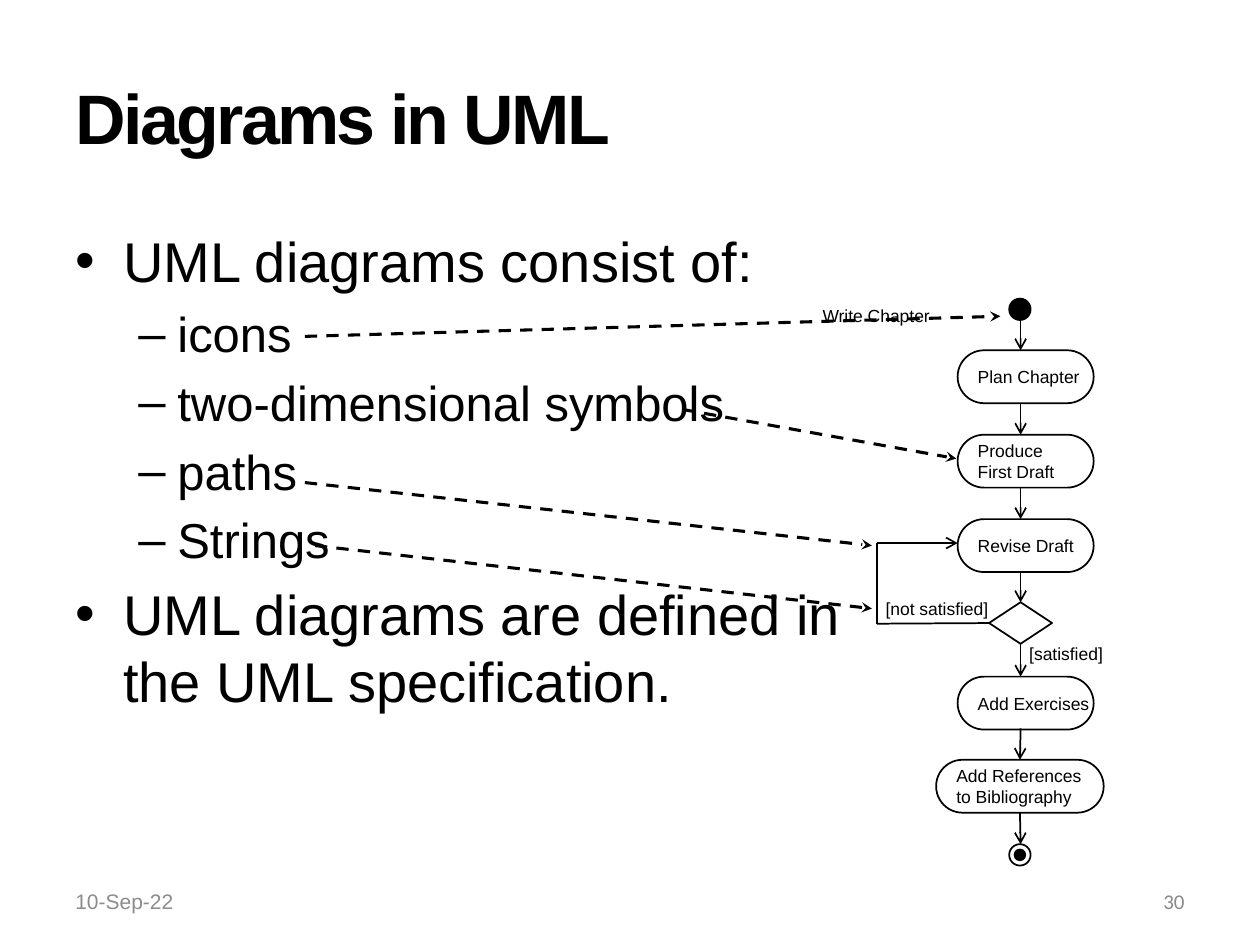
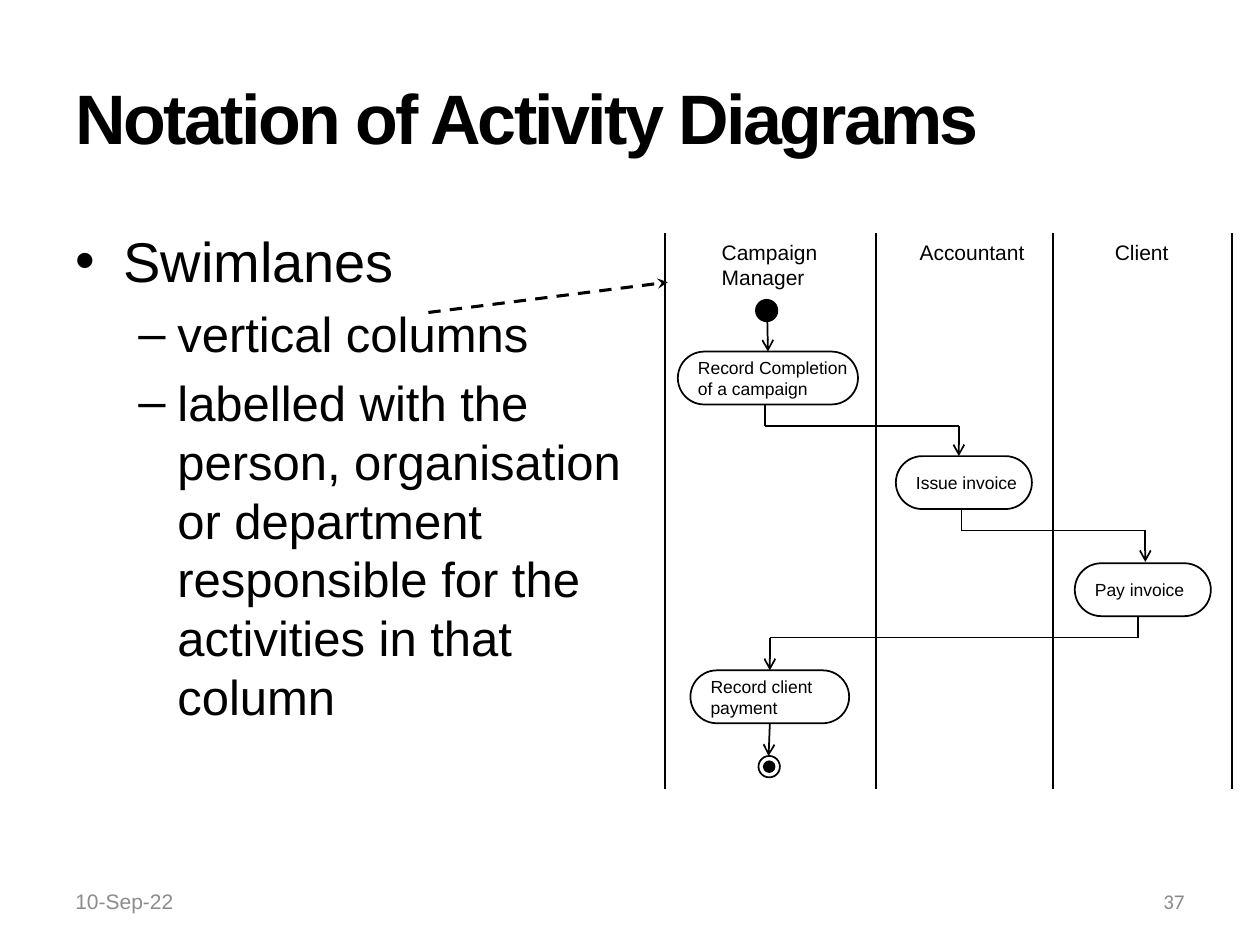
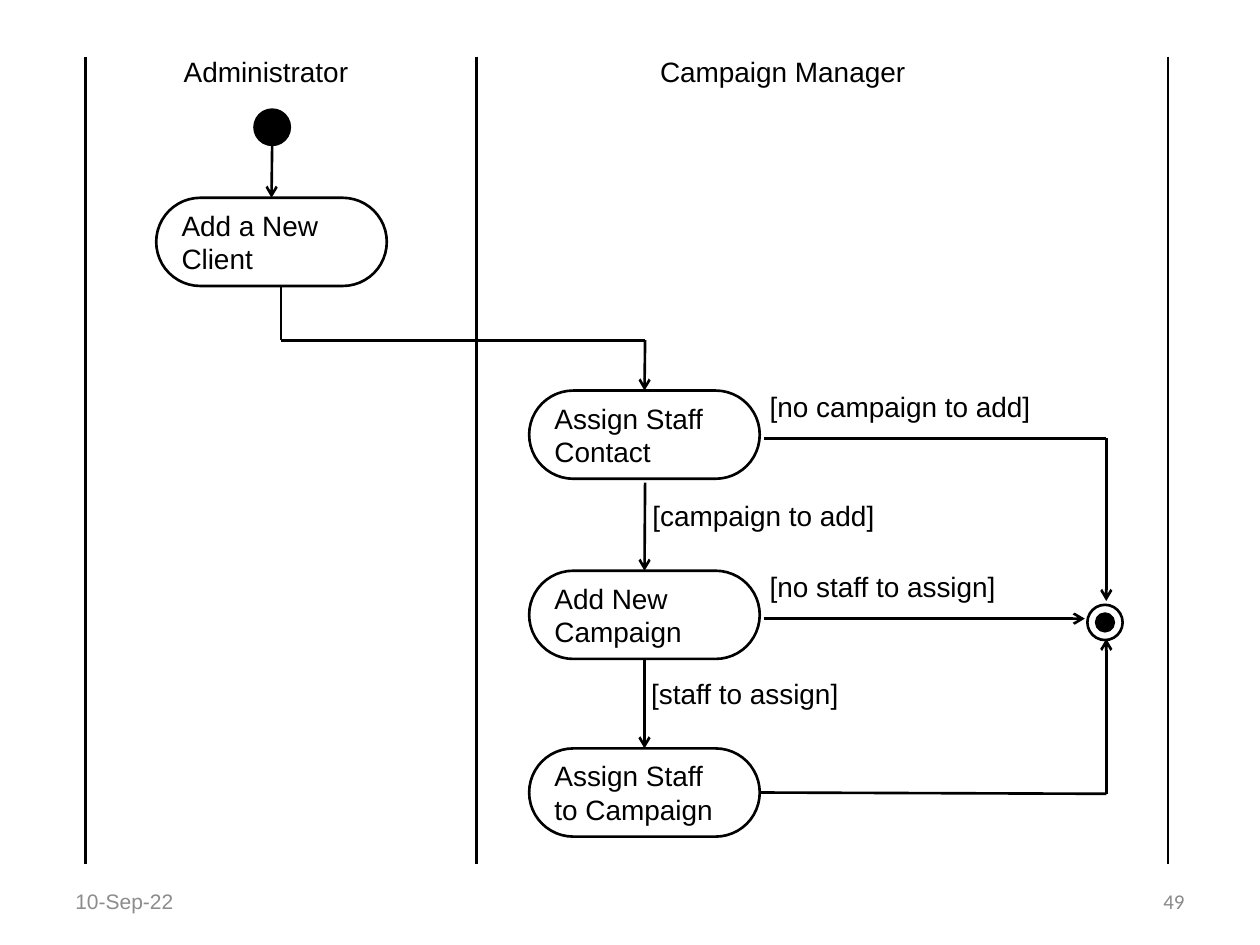
from lxml.etree import SubElement
from pptx import Presentation
from pptx.dml.color import RGBColor
from pptx.enum.dml import MSO_LINE
from pptx.enum.shapes import MSO_CONNECTOR, MSO_SHAPE
from pptx.enum.text import MSO_ANCHOR, PP_ALIGN
from pptx.oxml.ns import qn
from pptx.util import Inches, Pt

BLACK = RGBColor(0x00, 0x00, 0x00)
WHITE = RGBColor(0xFF, 0xFF, 0xFF)
DATE_GREY = RGBColor(0x8C, 0x8C, 0x8C)
NUMBER_GREY = RGBColor(0x89, 0x89, 0x89)
FONT = "Arial"
TITLE_ONLY, BLANK = 5, 6
JOIN_TOLERANCE = Inches(0.015)
DATE = "10-Sep-22"

# Bullet level: mark, text size, left margin, first-line indent
LEVELS = [("•", 32, 0.38, -0.38), ("–", 28, 0.81, -0.31)]

# Nodes and labels: text, left, top, width. Markers: left, top.
# Arrows and lines: corner points; a lane is the x of a vertical rule.
SLIDES = [
    {
        "number": "30",
        "title": "Diagrams in UML",
        "bullets": [
            (0, "UML diagrams consist of:"),
            (1, "icons"),
            (1, "two-dimensional symbols"),
            (1, "paths"),
            (1, "Strings"),
            (0, "UML diagrams are defined in\vthe UML specification."),
        ],
        "text_size": 10, "line_width": 1, "node_height": 0.42, "marker_size": 0.17,
        "nodes": [
            ("Plan Chapter", 7.6, 2.78, 1.08),
            ("Produce\vFirst Draft", 7.6, 3.45, 1.08),
            ("Revise Draft", 7.6, 4.12, 1.08),
            ("Add Exercises", 7.6, 5.37, 1.08),
            ("Add References\nto Bibliography", 7.43, 6.03, 1.33),
        ],
        "decisions": [(7.85, 4.78, 0.5, 0.33)],
        "start": (8.01, 2.37),
        "finish": (8.01, 6.7),
        "labels": [
            ("[satisfied]", 8.07, 5.05, 0.95),
            ("[not satisfied]", 6.93, 4.7, 1.14),
            ("Write Chapter", 6.43, 2.37, 1.1),
        ],
        "arrows": [[(8.1, top), (8.1, bottom)] for top, bottom in (
            (2.53, 2.78), (3.2, 3.45), (3.87, 4.12), (4.53, 4.78),
            (5.12, 5.37), (5.78, 6.03), (6.45, 6.7))]
        + [[(7.85, 4.95), (6.96, 4.95), (6.96, 4.31), (7.6, 4.31)]],
        "pointers": [
            [(2.42, 2.67), (7.94, 2.51)],
            [(5.42, 3.25), (7.59, 3.64)],
            [(2.42, 3.83), (6.92, 4.33)],
            [(2.5, 4.33), (6.92, 4.83)],
        ],
    },
    {
        "number": "37",
        "title": "Notation of Activity Diagrams",
        "bullets": [
            (0, "Swimlanes"),
            (1, "vertical columns"),
            (1, "labelled with the\vperson, organisation\vor department\v"
                "responsible for the\vactivities in that\vcolumn"),
        ],
        "text_size": 10, "line_width": 1, "node_height": 0.42, "marker_size": 0.17,
        "nodes": [
            ("Record Completion\nof a campaign", 5.38, 2.79, 1.43),
            ("Issue invoice", 7.11, 3.62, 1.08),
            ("Pay invoice", 8.53, 4.47, 1.08),
            ("Record client\npayment", 5.48, 5.32, 1.26),
        ],
        "start": (6, 2.38),
        "finish": (6.02, 6),
        "lanes": ((5.28, 6.95, 8.36, 9.78), 1.85, 6.26),
        "heading_size": 12,
        "headings": [
            ("Campaign\vManager", 5.63, 1.85, 1),
            ("Accountant", 7.2, 1.85, 1.07),
            ("Client", 8.75, 1.85, 0.66),
        ],
        "arrows": [
            [(6.09, 2.54), (6.09, 2.79)],
            [(6.07, 3.21), (6.07, 3.38), (7.61, 3.38), (7.61, 3.62)],
            [(7.63, 4.04), (7.63, 4.21), (9.09, 4.21), (9.09, 4.46)],
            [(9.03, 4.89), (9.03, 5.06), (6.11, 5.06), (6.11, 5.31)],
            [(6.1, 5.75), (6.1, 6)],
        ],
        "pointers": [[(3.4, 2.48), (5.3, 2.24)]],
    },
    {
        "number": "49",
        "text_size": 16, "line_width": 1.5, "node_height": 0.7, "marker_size": 0.28,
        "nodes": [
            ("Add a New\vClient", 1.24, 1.57, 1.83),
            ("Assign Staff\vContact", 4.2, 3.1, 1.83),
            ("Add New\nCampaign", 4.2, 4.53, 1.83),
            ("Assign Staff\nto Campaign", 4.2, 5.94, 1.83),
        ],
        "start": (2.02, 0.87),
        "finish": (8.63, 4.8),
        "lanes": ((0.68, 3.78, 9.27), 0.45, 6.86),
        "heading_size": 16,
        "headings": [
            ("Administrator", 1.36, 0.38, 2.14),
            ("Campaign Manager", 5.14, 0.38, 2.56),
        ],
        "labels": [
            ("[no campaign to add]", 6.01, 3.04, 2.56),
            ("[campaign to add]", 5.08, 3.91, 2.26),
            ("[no staff to assign]", 6.01, 4.47, 2.56),
            ("[staff to assign]", 5.07, 5.32, 2.23),
        ],
        "arrows": [
            [(2.16, 1.15), (2.16, 1.57)],
            [(2.23, 2.28), (2.23, 2.7), (5.12, 2.7), (5.12, 3.1)],
            [(5.12, 3.83), (5.12, 4.53)],
            [(5.12, 5.24), (5.12, 5.94)],
            [(6.06, 3.48), (8.78, 3.48), (8.78, 4.77)],
            [(6.06, 4.91), (8.61, 4.91)],
            [(6.03, 6.3), (8.78, 6.3), (8.78, 5.07)],
        ],
    },
]


def set_font(paragraph, size, color=BLACK, name=FONT):
    font = paragraph.font
    font.name, font.size, font.color.rgb = name, Pt(size), color


def write(frame, text, size, color=BLACK, name=FONT, align=PP_ALIGN.LEFT):
    frame.text = text
    for paragraph in frame.paragraphs:
        paragraph.alignment = align
        set_font(paragraph, size, color, name)


def add_text(page, text, left, top, width, height, size, **style):
    box = page.shapes.add_textbox(*map(Inches, (left, top, width, height)))
    box.text_frame.word_wrap = True
    write(box.text_frame, text, size, **style)
    return box


def add_labels(page, labels, size):
    for text, left, top, width in labels:
        line_count = text.count("\v") + 1
        add_text(page, text, left, top, width, line_count * size / 60 + 0.1, size)


def add_footer(page, number):
    date = add_text(page, DATE, 0.5, 6.95, 2.33, 0.4, 12, color=DATE_GREY)
    page_number = add_text(page, number, 7.17, 6.95, 2.33, 0.4, 12, color=NUMBER_GREY,
                           name="Calibri", align=PP_ALIGN.RIGHT)
    for box in (date, page_number):
        box.text_frame.vertical_anchor = MSO_ANCHOR.MIDDLE


def format_title(title, text):
    title.left, title.top, title.width, title.height = map(Inches, (0.5, 0.3, 9, 1.25))
    frame = title.text_frame
    frame.vertical_anchor = MSO_ANCHOR.MIDDLE
    write(frame, text, 40)
    paragraph = frame.paragraphs[0]
    paragraph.font.bold = True
    paragraph.runs[0]._r.get_or_add_rPr().set("spc", "-150")


def add_bullets(page, bullets):
    box = page.shapes.add_textbox(*map(Inches, (0.5, 1.75, 9, 4.95)))
    frame = box.text_frame
    frame.word_wrap = True
    for index, (level, text) in enumerate(bullets):
        mark, size, margin, indent = LEVELS[level]
        paragraph = frame.add_paragraph() if index else frame.paragraphs[0]
        paragraph.text = text
        paragraph.level = level
        properties = paragraph._p.get_or_add_pPr()
        properties.set("marL", str(Inches(margin)))
        properties.set("indent", str(Inches(indent)))
        SubElement(properties, qn("a:buFont")).set("typeface", FONT)
        SubElement(properties, qn("a:buChar")).set("char", mark)
        set_font(paragraph, size)
        if index:
            paragraph.space_before = Pt(size * 0.2)


def add_outline(page, kind, left, top, width, height, line_width, fill=WHITE):
    shape = page.shapes.add_shape(kind, *map(Inches, (left, top, width, height)))
    shape.shadow.inherit = False
    shape.fill.solid()
    shape.fill.fore_color.rgb = fill
    shape.line.color.rgb = BLACK
    shape.line.width = Pt(line_width)
    return shape


def add_node(page, text, left, top, width, content):
    node = add_outline(page, MSO_SHAPE.ROUNDED_RECTANGLE, left, top, width,
                       content["node_height"], content["line_width"])
    node.adjustments[0] = 0.5
    frame = node.text_frame
    frame.word_wrap = False
    frame.vertical_anchor = MSO_ANCHOR.MIDDLE
    write(frame, text, content["text_size"])
    return node


def add_markers(page, content):
    """Draw the solid start dot and the ringed finish dot."""
    size, line_width = content["marker_size"], content["line_width"]
    left, top = content["finish"]
    inset = size / 4
    for x, y, diameter, fill in (
        (*content["start"], size, BLACK),
        (left, top, size, WHITE),
        (left + inset, top + inset, size / 2, BLACK),
    ):
        add_outline(page, MSO_SHAPE.OVAL, x, y, diameter, diameter, line_width, fill)


def find_join(point, nodes):
    """Return the node and side whose middle lies at the point, if any."""
    x, y = map(Inches, point)
    for node in nodes:
        middle_x, middle_y = node.left + node.width // 2, node.top + node.height // 2
        sides = [(middle_x, node.top), (node.left, middle_y),
                 (middle_x, node.top + node.height), (node.left + node.width, middle_y)]
        for side, (side_x, side_y) in enumerate(sides):
            if max(abs(x - side_x), abs(y - side_y)) <= JOIN_TOLERANCE:
                return node, side
    return None


def add_line(page, start, end, width, head=None, dashed=False, nodes=()):
    line = page.shapes.add_connector(MSO_CONNECTOR.STRAIGHT, *map(Inches, (*start, *end)))
    line.line.color.rgb = BLACK
    line.line.width = Pt(width)
    if dashed:
        line.line.dash_style = MSO_LINE.DASH
    if head:
        SubElement(line.line._get_or_add_ln(), qn("a:tailEnd")).set("type", head)
    SubElement(line._element.spPr, qn("a:effectLst"))
    for point, connect in ((start, line.begin_connect), (end, line.end_connect)):
        join = find_join(point, nodes)
        if join:
            connect(*join)


def add_arrow(page, points, width, nodes):
    """Draw straight legs through the points, with a head on the last leg."""
    last = len(points) - 2
    for index, (start, end) in enumerate(zip(points, points[1:])):
        add_line(page, start, end, width, "arrow" if index == last else None, nodes=nodes)


def add_diagram(page, content):
    line_width = content["line_width"]
    if "lanes" in content:
        positions, top, bottom = content["lanes"]
        for x in positions:
            add_line(page, (x, top), (x, bottom), line_width)
        add_labels(page, content["headings"], content["heading_size"])
    nodes = [add_node(page, *node, content) for node in content["nodes"]]
    nodes += [add_outline(page, MSO_SHAPE.DIAMOND, *place, line_width)
              for place in content.get("decisions", [])]
    add_markers(page, content)
    add_labels(page, content.get("labels", []), content["text_size"])
    for points in content["arrows"]:
        add_arrow(page, points, line_width, nodes)
    for start, end in content.get("pointers", []):
        add_line(page, start, end, 1.75, "stealth", dashed=True)


def main():
    deck = Presentation()
    deck.slide_width, deck.slide_height = Inches(10), Inches(7.5)
    for content in SLIDES:
        layout = TITLE_ONLY if "title" in content else BLANK
        page = deck.slides.add_slide(deck.slide_layouts[layout])
        if "title" in content:
            format_title(page.shapes.title, content["title"])
            add_bullets(page, content["bullets"])
        add_diagram(page, content)
        add_footer(page, content["number"])
    deck.save("out.pptx")


if __name__ == "__main__":
    main()
